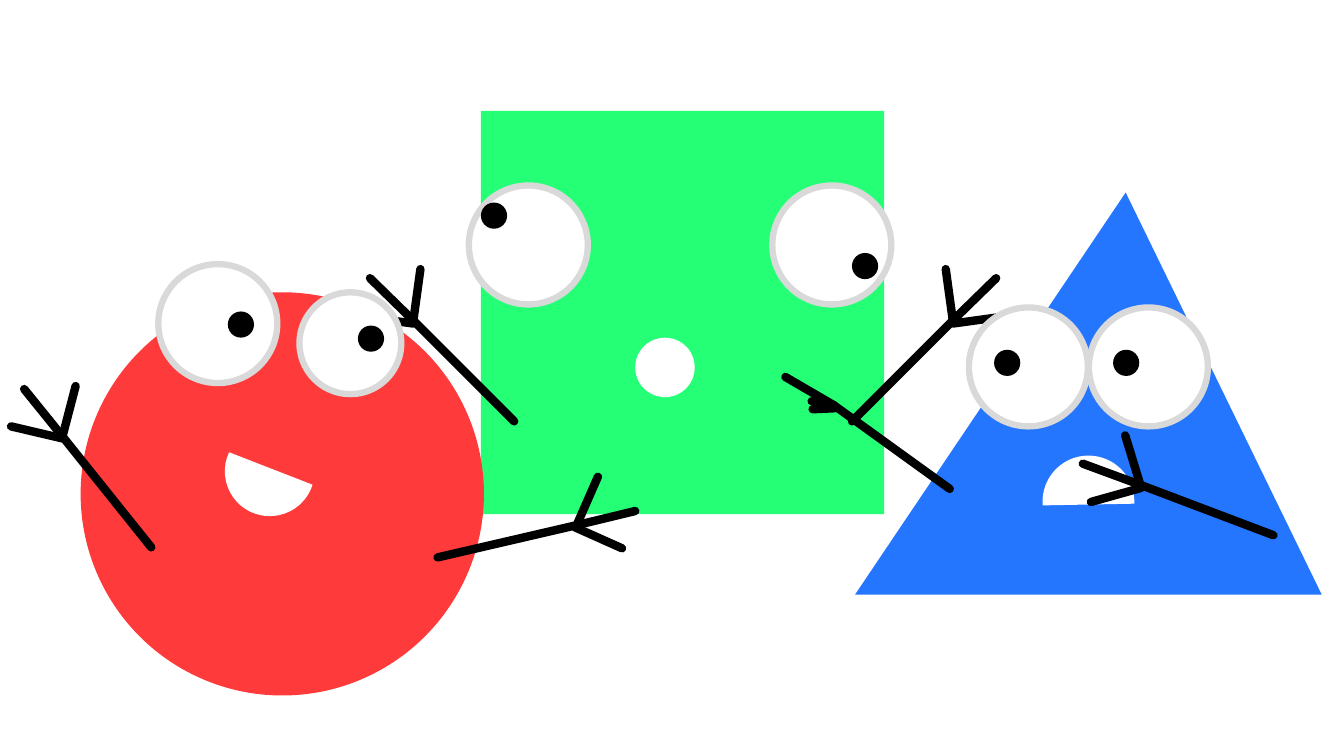
"""Build a slide with three cartoon shapes: a square, a triangle and a circle."""
import dataclasses
import typing

import lxml.etree
import pptx
import pptx.dml.color
import pptx.enum.shapes
import pptx.oxml.ns
import pptx.util

Inches = pptx.util.Inches
Pt = pptx.util.Pt
MSO_SHAPE = pptx.enum.shapes.MSO_SHAPE
STRAIGHT = pptx.enum.shapes.MSO_CONNECTOR.STRAIGHT

Point = tuple[float, float]
WHITE, BLACK, RIM = "FFFFFF", "000000", "D9D9D9"
GREEN, BLUE, RED = "25FF76", "2576FF", "FF3A3A"
EYE, PUPIL = 1.18, 0.26
MIRROR_SUM = 13.55
CHORD_END = 139.6


@dataclasses.dataclass
class Part:
    kind: typing.Any
    left: float
    top: float
    width: float
    height: float
    fill: str
    rim: bool = False
    rotation: float = 0
    flip: bool = False
    adjust: dict[int, float] = dataclasses.field(default_factory=dict)


@dataclasses.dataclass
class Arm:
    shoulder: Point
    wrist: Point
    middle: Point
    lower: Point
    upper: Point
    knuckle: Point

    def segments(self) -> list[tuple[Point, Point]]:
        return [(self.wrist, self.shoulder), (self.middle, self.wrist),
                (self.lower, self.knuckle), (self.upper, self.wrist)]

    def mirrored(self) -> "Arm":
        return Arm(*((MIRROR_SUM - x, y) for x, y in dataclasses.astuple(self)))


@dataclasses.dataclass
class Character:
    body: Part
    eyes: list[Part]
    pupils: list[Part]
    mouth: Part
    arms: list[Arm]


def rgb(color: str) -> pptx.dml.color.RGBColor:
    return pptx.dml.color.RGBColor.from_string(color)


def eye(left: float, top: float, size: float = EYE) -> Part:
    return Part(MSO_SHAPE.OVAL, left, top, size, size, WHITE, rim=True)


def pupil(left: float, top: float) -> Part:
    return Part(MSO_SHAPE.OVAL, left, top, PUPIL, PUPIL, BLACK)


def format_line(line: typing.Any, color: str, width: float) -> None:
    line.fill.solid()
    for target, attr, value in [(line.color, "rgb", rgb(color)),
                                (line, "width", Pt(width))]:
        setattr(target, attr, value)


def draw_part(shapes: typing.Any, part: Part) -> None:
    sp = shapes.add_shape(part.kind, Inches(part.left), Inches(part.top),
                          Inches(part.width), Inches(part.height))
    for index, value in part.adjust.items():
        sp.adjustments[index] = value
    if part.rotation:
        sp.rotation = part.rotation
    if part.flip:
        sp._element.spPr.xfrm.set("flipH", "1")
    sp.shadow.inherit = False
    sp.fill.solid()
    sp.fill.fore_color.rgb = rgb(part.fill)
    if part.rim:
        format_line(sp.line, RIM, 4.5)
    else:
        sp.line.fill.background()


def draw_arm(shapes: typing.Any, arm: Arm) -> None:
    group = shapes.add_group_shape()
    for begin, end in arm.segments():
        cx = group.shapes.add_connector(STRAIGHT, *map(Inches, begin + end))
        format_line(cx.line, BLACK, 6)
        cx.line._get_or_add_ln().set("cap", "rnd")
        lxml.etree.SubElement(cx._element.spPr, pptx.oxml.ns.qn("a:effectLst"))


def draw_character(shapes: typing.Any, character: Character) -> None:
    for part in [character.body, *character.eyes]:
        draw_part(shapes, part)
    group = shapes.add_group_shape()
    for part in character.pupils:
        draw_part(group.shapes, part)
    draw_part(shapes, character.mouth)
    for arm in character.arms:
        draw_arm(shapes, arm)


RAISED_ARM = Arm((5.1, 4.18), (4.1, 3.18), (3.67, 2.76),
                 (3.59, 3.14), (4.17, 2.67), (4.1, 3.21))

SQUARE = Character(
    Part(MSO_SHAPE.RECTANGLE, 4.77, 1.1, 4, 4, GREEN),
    [eye(4.65, 1.84), eye(7.66, 1.84)],
    [pupil(4.77, 2.01), pupil(8.45, 2.51)],
    Part(MSO_SHAPE.OVAL, 6.3, 3.35, 0.59, 0.59, WHITE),
    [RAISED_ARM, RAISED_ARM.mirrored()])

TRIANGLE = Character(
    Part(MSO_SHAPE.ISOSCELES_TRIANGLE, 8.48, 1.91, 4.63, 3.99, BLUE,
         adjust={0: 0.58}),
    [eye(9.61, 3.05), eye(10.8, 3.05)],
    [pupil(9.86, 3.47), pupil(11.04, 3.47)],
    Part(MSO_SHAPE.CHORD, 10.34, 4.52, 0.91, 0.91, WHITE,
         rotation=130.1, adjust={1: CHORD_END}),
    [Arm((12.63, 5.31), (11.31, 4.81), (10.74, 4.6),
         (10.82, 4.98), (11.16, 4.32), (11.32, 4.84)),
     Arm((9.42, 4.85), (8.27, 4.02), (7.79, 3.74),
         (8.06, 4.06), (8.05, 3.98), (8.28, 4.05))])

CIRCLE = Character(
    Part(MSO_SHAPE.OVAL, 0.8, 2.9, 4, 4, RED),
    [eye(2.97, 2.9, 1.01), eye(1.57, 2.62)],
    [pupil(3.55, 3.23), pupil(2.26, 3.09)],
    Part(MSO_SHAPE.CHORD, 2.23, 4.23, 0.89, 0.89, WHITE,
         rotation=70.1, flip=True, adjust={1: CHORD_END}),
    [Arm((1.5, 5.43), (0.62, 4.33), (0.24, 3.86),
         (0.11, 4.23), (0.75, 3.83), (0.62, 4.35)),
     Arm((4.34, 5.53), (5.72, 5.21), (6.3, 5.07),
         (6.17, 5.44), (5.93, 4.73), (5.7, 5.23))])


def main() -> None:
    prs = pptx.Presentation()
    for attr, value in {"slide_width": 13.33, "slide_height": 7.5}.items():
        setattr(prs, attr, Inches(value))
    s = prs.slides.add_slide(prs.slide_layouts[6])
    s.background.fill.solid()
    s.background.fill.fore_color.rgb = rgb(WHITE)
    for character in (SQUARE, TRIANGLE, CIRCLE):
        draw_character(s.shapes, character)
    prs.save("out.pptx")


if __name__ == "__main__":
    main()
